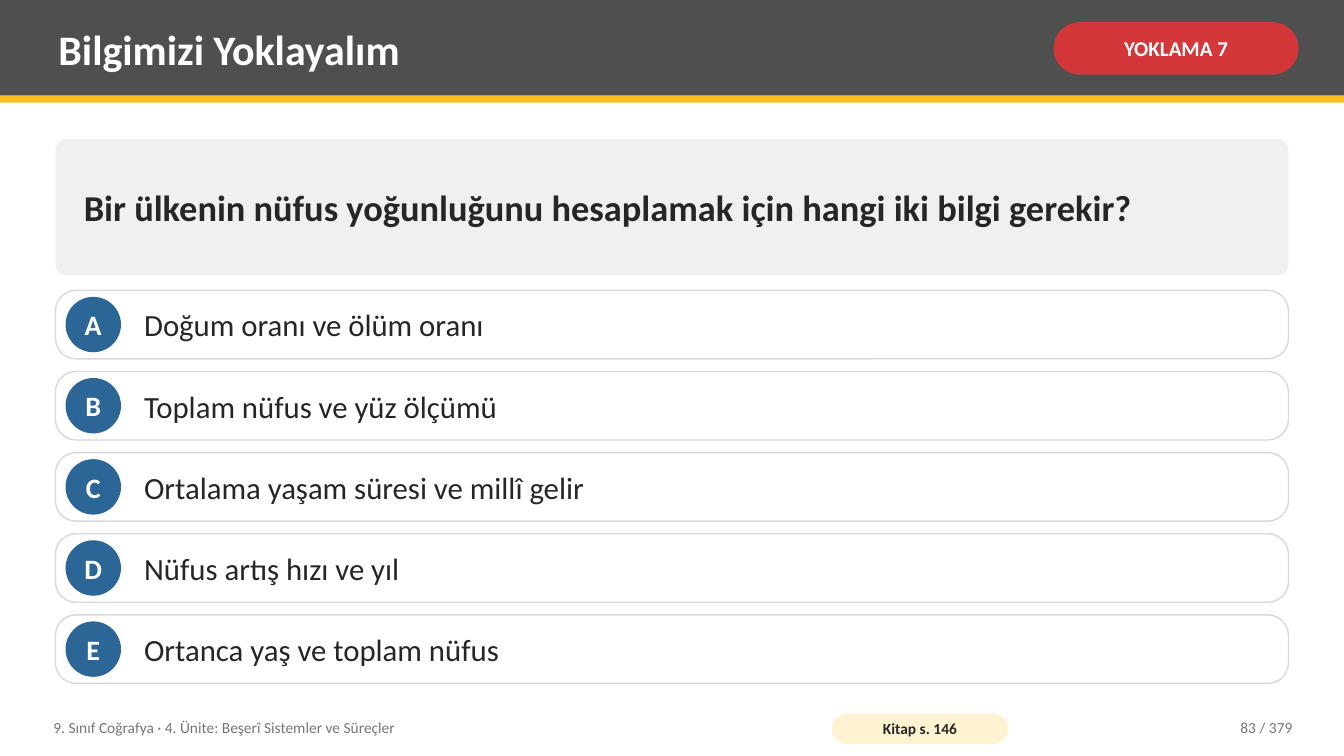
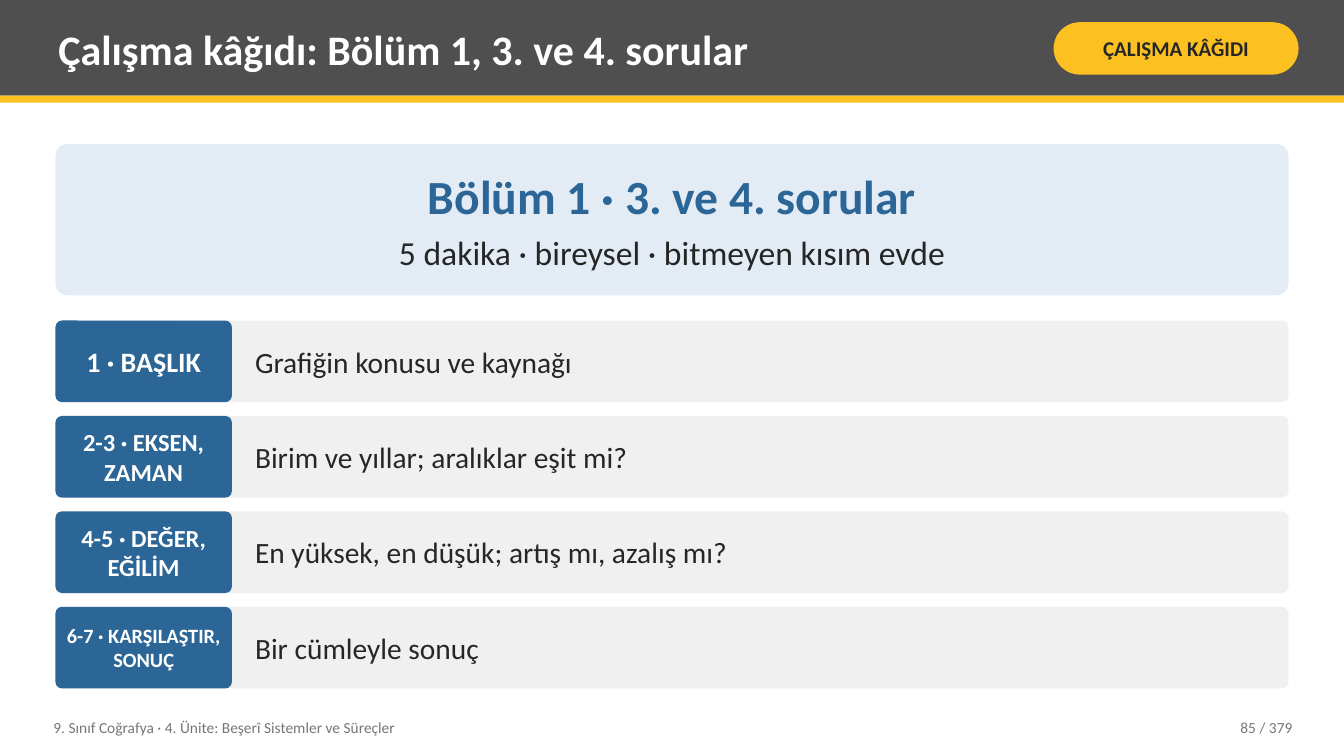
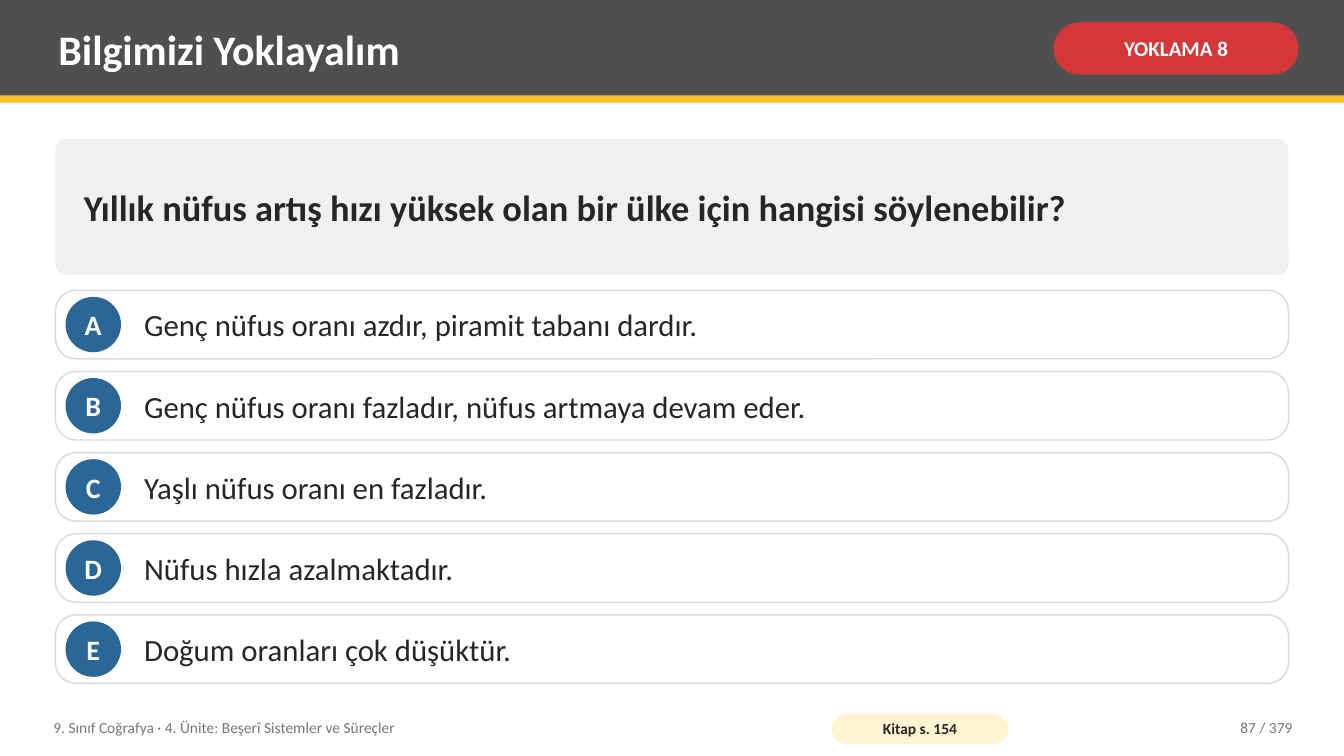
from collections import namedtuple
from dataclasses import dataclass, replace

from pptx import Presentation
from pptx.dml.color import RGBColor
from pptx.enum.shapes import MSO_SHAPE
from pptx.enum.text import MSO_ANCHOR, MSO_AUTO_SIZE, PP_ALIGN
from pptx.util import Pt

EMU_PER_PX = 9144  # 100 px to the inch
SLIDE_WIDTH, SLIDE_HEIGHT = 1333, 750
TITLE_ONLY_LAYOUT = 5

Box = namedtuple("Box", "left top width height")


@dataclass(frozen=True)
class TextStyle:
    size: float
    color: str
    bold: bool = False
    align: PP_ALIGN = PP_ALIGN.LEFT
    space_after: float = 0


@dataclass(frozen=True)
class Theme:
    font = "Calibri"
    white = "FFFFFF"
    ink = "262626"
    header = "4F4F4F"
    yellow = "FCC021"
    red = "D3373A"
    blue = "2C6696"
    pale_blue = "E3ECF5"
    pale_yellow = "FFF3D1"
    panel = "F0F0F0"
    outline = "D9D9D9"
    muted = "767676"

    title = TextStyle(30, white, True)
    tag = TextStyle(15, white, True, PP_ALIGN.CENTER)
    question = TextStyle(26, ink, True)
    option = TextStyle(22, ink)
    letter = TextStyle(20, white, True, PP_ALIGN.CENTER)
    task = TextStyle(34, blue, True, PP_ALIGN.CENTER, space_after=6)
    task_note = TextStyle(24, ink, False, PP_ALIGN.CENTER)
    step_label = TextStyle(20, white, True, PP_ALIGN.CENTER)
    step = TextStyle(21, ink)
    footer = TextStyle(11, muted)
    page_number = TextStyle(11, muted, align=PP_ALIGN.RIGHT)
    book_page = TextStyle(11, ink, True, PP_ALIGN.CENTER)


THEME = Theme()
TEXT_INSETS = (8, 4)
COURSE = "9. Sınıf Coğrafya · 4. Ünite: Beşerî Sistemler ve Süreçler"
PAGE_COUNT = 379
HEADER_BOX = Box(0, 0, SLIDE_WIDTH, 102)
FOOTER_BOX = Box(45, 704, 1245, 36)


def px(length):
    return round(length * EMU_PER_PX)


def rgb(color):
    return RGBColor.from_string(color)


def set_all(target, values):
    for name, value in values.items():
        setattr(target, name, value)


def inside(box, left, top, width, height):
    """Return a box whose corner is measured from the corner of another."""
    return Box(box.left + left, box.top + top, width, height)


def stacked_rows(box, count, height):
    """Return equal rows that fill a box from top to bottom with equal gaps."""
    pitch = (box.height - height) / (count - 1)
    return [inside(box, 0, index * pitch, box.width, height) for index in range(count)]


def write(shape, lines, insets=TEXT_INSETS, wrap=True):
    """Fill a shape with (text, style) paragraphs, centred vertically."""
    frame = shape.text_frame
    horizontal, vertical = map(px, insets)
    set_all(frame, {
        "margin_left": horizontal, "margin_right": horizontal,
        "margin_top": vertical, "margin_bottom": vertical,
        "auto_size": MSO_AUTO_SIZE.NONE,
        "vertical_anchor": MSO_ANCHOR.MIDDLE,
        "word_wrap": wrap,
    })
    for index, (text, style) in enumerate(lines):
        paragraph = frame.add_paragraph() if index else frame.paragraphs[0]
        set_all(paragraph, {"alignment": style.align, "space_after": Pt(style.space_after)})
        run = paragraph.add_run()
        run.text = text
        set_all(run.font, {"name": THEME.font, "size": Pt(style.size), "bold": style.bold})
        run.font.color.rgb = rgb(style.color)


def add_text(slide, box, text, style):
    write(slide.shapes.add_textbox(*map(px, box)), [(text, style)])


def add_shape(slide, box, fill, kind=MSO_SHAPE.RECTANGLE, outline=None):
    shape = slide.shapes.add_shape(kind, *map(px, box))
    shape.shadow.inherit = False
    shape.fill.solid()
    shape.fill.fore_color.rgb = rgb(fill)
    if outline:
        shape.line.color.rgb = rgb(outline)
        shape.line.width = Pt(1)
    else:
        shape.line.fill.background()
    return shape


def add_rounded(slide, box, fill, rounding=0.08, outline=None):
    shape = add_shape(slide, box, fill, MSO_SHAPE.ROUNDED_RECTANGLE, outline)
    shape.adjustments[0] = rounding
    return shape


def add_header(slide, box, title, tag, tag_fill, tag_color):
    add_shape(slide, inside(box, 0, 0, box.width, 95), THEME.header)
    add_shape(slide, inside(box, 0, 95, box.width, 7), THEME.yellow)
    placeholder = slide.shapes.title
    title_box = inside(box, 50, 7, 975, 82)
    set_all(placeholder, dict(zip(Box._fields, map(px, title_box))))
    write(placeholder, [(title, THEME.title)])
    placeholder.element.getparent().append(placeholder.element)  # above the band
    pill = add_rounded(slide, inside(box, 1045, 22, 243, 52), tag_fill, 0.5)
    write(pill, [(tag, replace(THEME.tag, color=tag_color))], (5, 2))


def add_footer(slide, box, page, book_page=None):
    add_text(slide, inside(box, 0, 0, 760, box.height), COURSE, THEME.footer)
    if book_page:
        pill = add_rounded(slide, inside(box, 780, 4, 175, 30), THEME.pale_yellow, 0.5)
        write(pill, [(f"Kitap s. {book_page}", THEME.book_page)], (4, 0))
    add_text(slide, inside(box, box.width - 160, 0, 160, box.height),
             f"{page} / {PAGE_COUNT}", THEME.page_number)


def add_option(slide, box, letter, text):
    add_rounded(slide, box, THEME.white, 0.3, THEME.outline)
    badge_size = 55
    badge_box = inside(box, 10, (box.height - badge_size) / 2, badge_size, badge_size)
    badge = add_shape(slide, badge_box, THEME.blue, MSO_SHAPE.OVAL)
    write(badge, [(letter, THEME.letter)], (0, 0), wrap=False)
    add_text(slide, inside(box, 80, 0, box.width - 100, box.height), text, THEME.option)


def add_step(slide, box, label, label_size, text):
    add_rounded(slide, box, THEME.panel)
    label_shape = add_rounded(slide, inside(box, 0, 0, 175, box.height), THEME.blue)
    write(label_shape, [(label, replace(THEME.step_label, size=label_size))], (6, 8))
    add_text(slide, inside(box, 190, 0, box.width - 200, box.height), text, THEME.step)


def add_title_slide_frame(presentation, title, tag, tag_fill, tag_color, page, book_page=None):
    """Add a slide that has only the shared header and footer."""
    slide = presentation.slides.add_slide(presentation.slide_layouts[TITLE_ONLY_LAYOUT])
    add_header(slide, HEADER_BOX, title, tag, tag_fill, tag_color)
    add_footer(slide, FOOTER_BOX, page, book_page)
    return slide


def add_quiz_slide(presentation, number, page, book_page, question, options):
    slide = add_title_slide_frame(presentation, "Bilgimizi Yoklayalım", f"YOKLAMA {number}",
                                  THEME.red, THEME.white, page, book_page)
    content = Box(55, 138, 1223, 540)
    panel = add_rounded(slide, inside(content, 0, 0, content.width, 135), THEME.panel)
    write(panel, [(question, THEME.question)], (25, 8))
    rows = stacked_rows(inside(content, 0, 150, content.width, 390), len(options), 68)
    for row, letter, option in zip(rows, "ABCDE", options):
        add_option(slide, row, letter, option)


def add_worksheet_slide(presentation, page, title, task, note, steps):
    slide = add_title_slide_frame(presentation, title, "ÇALIŞMA KÂĞIDI",
                                  THEME.yellow, THEME.ink, page)
    content = Box(55, 143, 1223, 540)
    panel = add_rounded(slide, inside(content, 0, 0, content.width, 150), THEME.pale_blue)
    write(panel, [(task, THEME.task), (note, THEME.task_note)], (14, 8))
    rows = stacked_rows(inside(content, 0, 175, content.width, 365), len(steps), 81)
    for row, step in zip(rows, steps):
        add_step(slide, row, *step)


def main():
    presentation = Presentation()
    set_all(presentation, {"slide_width": px(SLIDE_WIDTH), "slide_height": px(SLIDE_HEIGHT)})
    add_quiz_slide(
        presentation, 7, 83, 146,
        "Bir ülkenin nüfus yoğunluğunu hesaplamak için hangi iki bilgi gerekir?",
        ["Doğum oranı ve ölüm oranı",
         "Toplam nüfus ve yüz ölçümü",
         "Ortalama yaşam süresi ve millî gelir",
         "Nüfus artış hızı ve yıl",
         "Ortanca yaş ve toplam nüfus"])
    add_worksheet_slide(
        presentation, 85, "Çalışma kâğıdı: Bölüm 1, 3. ve 4. sorular",
        "Bölüm 1 · 3. ve 4. sorular", "5 dakika · bireysel · bitmeyen kısım evde",
        [("1 · BAŞLIK", 20, "Grafiğin konusu ve kaynağı"),
         ("2-3 · EKSEN, ZAMAN", 17.5, "Birim ve yıllar; aralıklar eşit mi?"),
         ("4-5 · DEĞER, EĞİLİM", 17.5, "En yüksek, en düşük; artış mı, azalış mı?"),
         ("6-7 · KARŞILAŞTIR, SONUÇ", 14.5, "Bir cümleyle sonuç")])
    add_quiz_slide(
        presentation, 8, 87, 154,
        "Yıllık nüfus artış hızı yüksek olan bir ülke için hangisi söylenebilir?",
        ["Genç nüfus oranı azdır, piramit tabanı dardır.",
         "Genç nüfus oranı fazladır, nüfus artmaya devam eder.",
         "Yaşlı nüfus oranı en fazladır.",
         "Nüfus hızla azalmaktadır.",
         "Doğum oranları çok düşüktür."])
    presentation.save("out.pptx")


if __name__ == "__main__":
    main()
